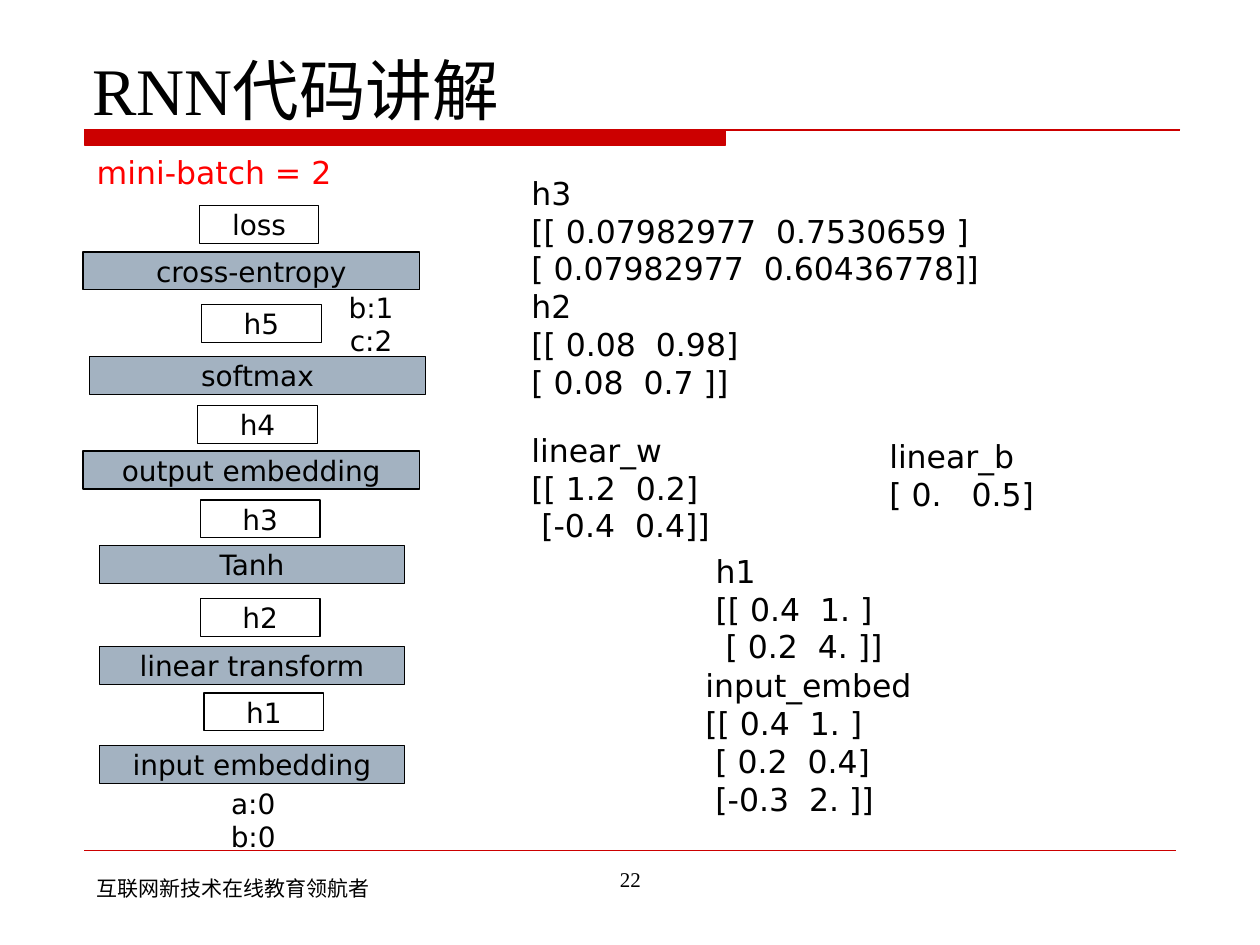
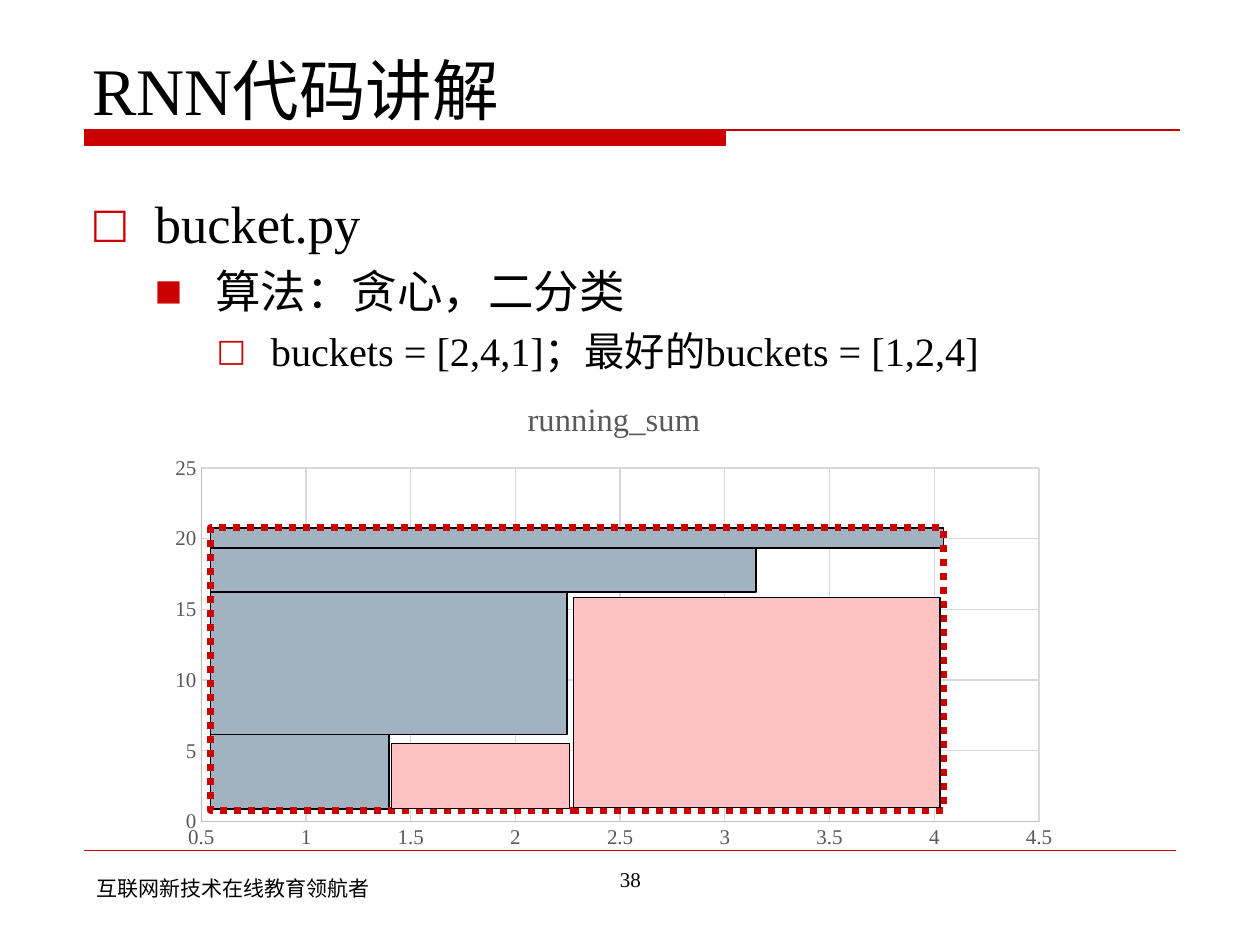
from lxml.etree import SubElement
from pptx import Presentation
from pptx.chart.data import XyChartData
from pptx.dml.color import RGBColor
from pptx.enum.chart import XL_CHART_TYPE as CT, XL_MARKER_STYLE as MARKER, XL_TICK_MARK as TICK
from pptx.enum.dml import MSO_LINE as DASH
from pptx.enum.shapes import MSO_CONNECTOR as CONN, MSO_SHAPE as SHAPE
from pptx.enum.text import MSO_ANCHOR as ANCHOR, MSO_AUTO_SIZE as AUTO, PP_ALIGN as ALIGN
from pptx.oxml import parse_xml
from pptx.oxml.ns import nsdecls, qn
from pptx.util import Pt

COLORS = dict(black="000000", red="CC0000", bright="FF0000", steel="A3B2C1",
              pink="FFC2C2", label="595959", axis="BFBFBF", grid="D9D9D9")
SERIF, SANS, CJK = "Times New Roman", "DejaVu Sans", "Noto Sans CJK SC"

TITLE = "RNN代码讲解"
FOOTER = "互联网新技术在线教育领航者"

LAYER_H, STATE_W = 21.6, 68.4
OPERATIONS = [
    ("cross-entropy", 47.5, 144, 192.2),
    ("softmax", 51.1, 203.8, 192.2),
    ("output embedding", 47.5, 257.8, 192.2),
    ("Tanh", 56.9, 311.8, 174.2),
    ("linear transform", 56.9, 369.4, 174.2),
    ("input embedding", 56.9, 426.2, 174.2),
]
STATES = [
    ("loss", 113.8, 117.4),
    ("h5", 115.2, 174.2),
    ("h4", 113, 231.8),
    ("h3", 114.5, 285.8),
    ("h2", 114.5, 342),
    ("h1", 116.6, 396),
]
TOKENS = [
    (["a:0", "b:0"], (123.8, 445.7, 41.8, 46.1)),
    (["b:1", "c:2"], (190.8, 162, 42.5, 46.1)),
]
MATRICES = [
    (["h3", "[[ 0.07982977\u00a0\u00a00.7530659 ]", "[ 0.07982977  0.60436778]]",
      "h2", "[[ 0.08\u00a0\u00a00.98]", "[ 0.08  0.7 ]]"], (296.6, 95.8, 360, 138.2)),
    (["linear_w", "[[ 1.2  0.2]", " [-0.4  0.4]]"], (296.6, 242.6, 130, 72.7)),
    (["linear_b", "[ 0.   0.5]"], (501.1, 246.2, 108, 51.1)),
    (["h1", "[[ 0.4\u00a0\u00a01. ]", " [ 0.2\u00a0\u00a04. ]]"], (401.8, 311.8, 128.9, 72.7)),
    (["input_embed", "[[ 0.4  1. ]", " [ 0.2  0.4]", " [-0.3  2. ]]"], (396, 377.3, 140, 94.3)),
]

BULLETS = [
    ("bucket.py", 30, "□", 36.7, 36.7, 78),
    ("算法：贪心，二分类", 26, "■", 71.3, 34.6, 64),
    ("buckets = [2,4,1]；最好的buckets = [1,2,4]", 23, "□", 103, 31, 78),
]
RUNNING_SUM = [(1, 5), (2, 15), (3, 18), (4, 20)]
CHART_BOX = (90, 215.3, 522, 275.8)
PLOT_LAYOUT = dict(x=0.048, y=0.189, w=0.917, h=0.733)
BAR_LEFT = 120.2
BARS = [(419.8, 102.2, 42.5), (336.2, 203.8, 83.5), (311.8, 311.8, 26.6), (301.7, 419, 11.5)]
BOUND = (BAR_LEFT, 301.7, 419, 161.3)
WASTE = [(327.6, 341.3, 209.5, 120.2), (223.9, 424.8, 101.5, 37.4)]


def rgb(name):
    return RGBColor.from_string(COLORS[name])


def pts(values):
    return [Pt(v) for v in values]


def write(tf, lines, size=16, font=SANS, color="black", align=ALIGN.LEFT,
          anchor=ANCHOR.TOP, pitch=None, before=0):
    tf.word_wrap = True
    tf.auto_size = AUTO.NONE
    tf.vertical_anchor = anchor
    for i, line in enumerate(lines):
        p = tf.paragraphs[0] if i == 0 else tf.add_paragraph()
        fill_paragraph(p, line, size, font, color, align, before)
        if pitch:
            p.line_spacing = Pt(pitch)


def fill_paragraph(p, text, size, font, color="black", align=ALIGN.LEFT, before=0):
    p.alignment = align
    p.space_before = Pt(before)
    r = p.add_run()
    r.text = text
    r.font.size = Pt(size)
    r.font.color.rgb = rgb(color)
    r.font.name = font
    SubElement(r._r.get_or_add_rPr(), qn("a:ea")).set("typeface", CJK)


def add_text(s, lines, box, **fmt):
    write(s.shapes.add_textbox(*pts(box)).text_frame, lines, **fmt)


def paint(sp, fill=None, line="black", width=0.75):
    sp.shadow.inherit = False
    if fill:
        sp.fill.solid()
        sp.fill.fore_color.rgb = rgb(fill)
    else:
        sp.fill.background()
    sp.line.color.rgb = rgb(line)
    sp.line.width = Pt(width)


def add_rect(s, box, text=None, **style):
    sp = s.shapes.add_shape(SHAPE.RECTANGLE, *pts(box))
    paint(sp, **style)
    if text:
        write(sp.text_frame, [text], align=ALIGN.CENTER, anchor=ANCHOR.MIDDLE)
    return sp


def add_frame(prs, layout, number):
    s = prs.slides.add_slide(prs.slide_layouts[layout])
    left, band_right, right, top, bottom = pts((48.2, 414.7, 674.6, 74.2, 82.8))
    fb = s.shapes.build_freeform(left, top)
    fb.add_line_segments([(band_right, top), (band_right, bottom), (left, bottom)])
    fb.move_to(left, top)
    fb.add_line_segments([(right, top)], close=False)
    paint(fb.convert_to_shape(), fill="red", line="red")

    rule = s.shapes.add_connector(CONN.STRAIGHT, *pts((48.2, 486, 671.8, 486)))
    rule.line.color.rgb = rgb("red")
    rule.line.width = Pt(0.25)
    SubElement(rule._element.spPr, qn("a:effectLst"))

    add_text(s, [FOOTER], (48.2, 496.8, 180, 21.6), size=12, font=CJK, before=3)
    add_text(s, [str(number)], (246.2, 491.8, 228.2, 37.4), size=12, font=SERIF,
             align=ALIGN.CENTER)
    place(s.shapes.title, (45.4, 23.8, 630, 53.3))
    write(s.shapes.title.text_frame, [TITLE], size=38, font=SERIF, anchor=ANCHOR.BOTTOM)
    return s


def place(sp, box):
    sp.left, sp.top, sp.width, sp.height = pts(box)


def add_bullets(s):
    body = s.placeholders[1]
    place(body, (44.6, 105.8, 630, 368.6))
    tf = body.text_frame
    tf.auto_size = AUTO.NONE
    for level, (text, size, mark, margin, hang, percent) in enumerate(BULLETS):
        p = tf.paragraphs[0] if level == 0 else tf.add_paragraph()
        p.level = level
        fill_paragraph(p, text, size, SERIF, before=size * 0.2)
        pPr = p._p.get_or_add_pPr()
        pPr.set("marL", str(Pt(margin)))
        pPr.set("indent", str(-Pt(hang)))
        color = SubElement(pPr, qn("a:buClr"))
        SubElement(color, qn("a:srgbClr")).set("val", COLORS["red"])
        SubElement(pPr, qn("a:buSzPct")).set("val", str(percent * 1000))
        SubElement(pPr, qn("a:buFont")).set("typeface", SANS)
        SubElement(pPr, qn("a:buChar")).set("char", mark)


def style_font(font, size, color):
    font.name, font.size, font.bold = SERIF, Pt(size), False
    font.color.rgb = rgb(color)


def style_axis(axis, low, high, step):
    axis.minimum_scale, axis.maximum_scale, axis.major_unit = low, high, step
    axis.major_tick_mark = axis.minor_tick_mark = TICK.NONE
    axis.has_major_gridlines = True
    for part, color in ((axis, "axis"), (axis.major_gridlines, "grid")):
        part.format.line.color.rgb = rgb(color)
        part.format.line.width = Pt(0.75)
    style_font(axis.tick_labels.font, 12, "label")
    axis.tick_labels.number_format = "General"
    axis.tick_labels.number_format_is_linked = False


def add_running_sum(s):
    data = XyChartData()
    series = data.add_series("running_sum")
    for x, y in RUNNING_SUM:
        series.add_data_point(x, y)
    chart = s.shapes.add_chart(CT.XY_SCATTER, *pts(CHART_BOX), data).chart
    style_font(chart.font, 10, "black")
    chart.has_legend = False
    chart.has_title = True
    tf = chart.chart_title.text_frame
    tf.text = "running_sum"
    style_font(tf.paragraphs[0].runs[0].font, 18.6, "label")
    style_axis(chart.category_axis, 0.5, 4.5, 0.5)
    style_axis(chart.value_axis, 0, 25, 5)
    plot = chart.plots[0]
    plot.vary_by_categories = False
    dots = plot.series[0]
    dots.format.line.fill.background()
    dots.marker.style, dots.marker.size = MARKER.CIRCLE, 5
    dots.marker.format.fill.solid()
    dots.marker.format.fill.fore_color.rgb = rgb("black")
    dots.marker.format.line.color.rgb = rgb("black")

    area = chart._chartSpace.chart.plotArea
    for old in area.findall(qn("c:layout")):
        area.remove(old)
    sizes = "".join(f'<c:{k} val="{v}"/>' for k, v in PLOT_LAYOUT.items())
    area.insert(0, parse_xml(
        f'<c:layout {nsdecls("c")}><c:manualLayout><c:layoutTarget val="inner"/>'
        f'<c:xMode val="edge"/><c:yMode val="edge"/>{sizes}</c:manualLayout></c:layout>'))


def build_network(prs):
    s = add_frame(prs, 5, 22)
    for text, left, top, width in OPERATIONS:
        add_rect(s, (left, top, width, LAYER_H), text, fill="steel")
    for text, left, top in STATES:
        add_rect(s, (left, top, STATE_W, LAYER_H), text)
    for lines, box in TOKENS:
        add_text(s, lines, box, align=ALIGN.CENTER, anchor=ANCHOR.MIDDLE, pitch=19)
    for lines, box in MATRICES:
        add_text(s, lines, box, size=18, pitch=21.6)
    add_text(s, ["mini-batch = 2"], (48.2, 84.2, 188.6, 28.8), size=18, color="bright")


def build_buckets(prs):
    s = add_frame(prs, 1, 38)
    add_bullets(s)
    add_running_sum(s)
    for top, width, height in BARS:
        add_rect(s, (BAR_LEFT, top, width, height), fill="steel")
    add_rect(s, BOUND, line="red", width=4).line.dash_style = DASH.ROUND_DOT
    for box in WASTE:
        add_rect(s, box, fill="pink")


def main():
    prs = Presentation()
    prs.slide_width, prs.slide_height = Pt(720), Pt(540)
    build_network(prs)
    build_buckets(prs)
    prs.save("out.pptx")


if __name__ == "__main__":
    main()
